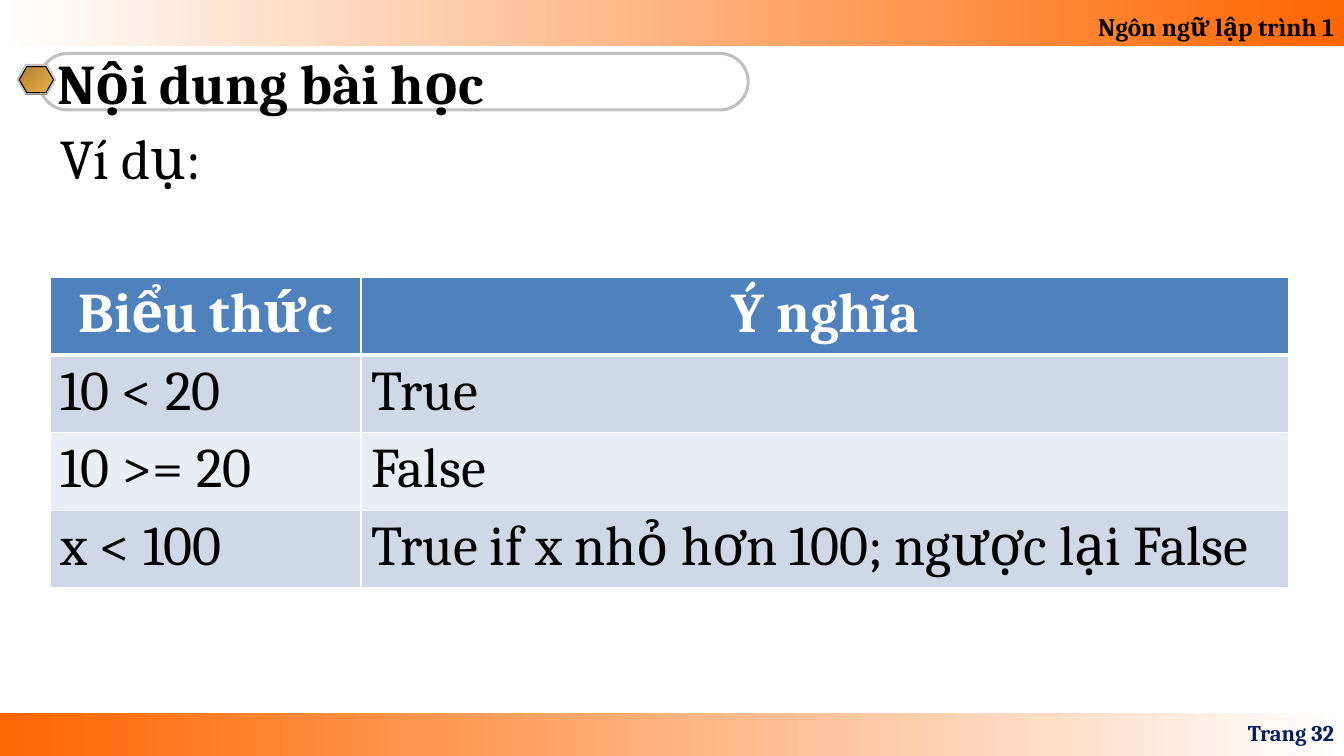
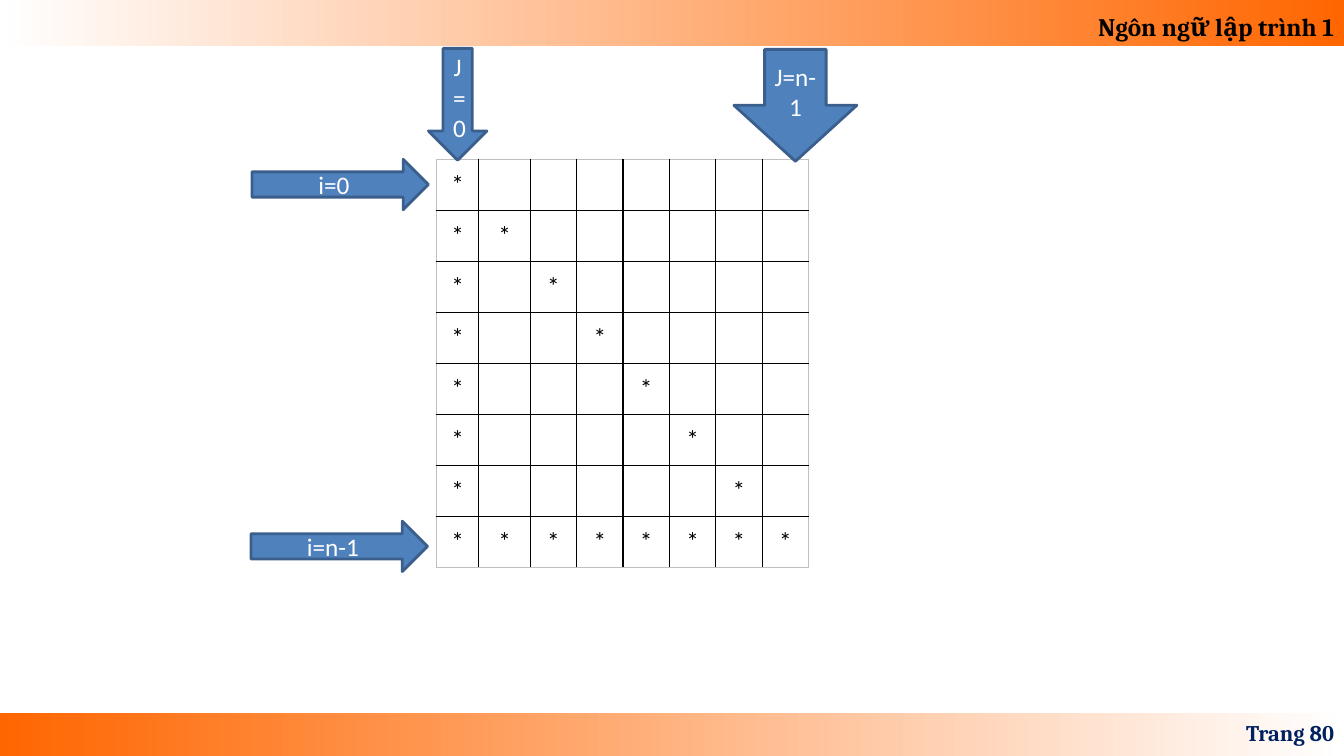
from dataclasses import dataclass

from lxml import etree
from pptx import Presentation
from pptx.dml.color import RGBColor
from pptx.enum.shapes import MSO_SHAPE
from pptx.enum.text import MSO_ANCHOR, MSO_AUTO_SIZE, PP_ALIGN
from pptx.oxml.ns import qn
from pptx.util import Inches, Pt

RECT, PILL, HEXAGON = MSO_SHAPE.RECTANGLE, MSO_SHAPE.ROUNDED_RECTANGLE, MSO_SHAPE.HEXAGON
RIGHT_ARROW, DOWN_ARROW = MSO_SHAPE.RIGHT_ARROW, MSO_SHAPE.DOWN_ARROW
LEFT, CENTER, RIGHT = PP_ALIGN.LEFT, PP_ALIGN.CENTER, PP_ALIGN.RIGHT
TOP, MIDDLE, BOTTOM = MSO_ANCHOR.TOP, MSO_ANCHOR.MIDDLE, MSO_ANCHOR.BOTTOM
FIT_NONE = MSO_AUTO_SIZE.NONE
CONTENT_LAYOUT, BLANK_LAYOUT = 1, 6


@dataclass(frozen=True)
class Theme:
    serif: str = "Cambria"
    sans: str = "Calibri"
    large: int = 40
    normal: int = 18
    small: int = 16
    ink: str = "000000"
    white: str = "FFFFFF"
    orange: str = "FF6600"
    navy: str = "002060"
    blue: str = "4F81BD"
    blue_line: str = "3A5F8C"
    stripes: tuple = ("D0D8E8", "E9EDF4")
    silver: str = "C0C0C0"
    rim: str = "E6E6E6"
    shade: str = "808080"
    gold: tuple = ("AB7E34", "EFB049")


T = Theme()


def rgb(color):
    return RGBColor.from_string(color)


def write(tf, text, size=T.normal, font=T.sans, color=T.ink, bold=False,
          align=LEFT, anchor=None, wrap=True, inset=0.1, bottom=0.05):
    """Put one formatted paragraph in a frame; anchor is None in table cells."""
    if anchor is not None:
        tf.auto_size = FIT_NONE
        tf.word_wrap = wrap
        tf.vertical_anchor = anchor
        tf.margin_left, tf.margin_bottom = Inches(inset), Inches(bottom)
    p = tf.paragraphs[0]
    p.alignment = align
    p.space_before = Pt(0)
    r = p.add_run()
    r.text = text
    r.font.size, r.font.name, r.font.bold = Pt(size), font, bold
    r.font.color.rgb = rgb(color)
    return p


def border(cell, side, color, width=1):
    """Draw one side (L, R, T or B) of a cell, ahead of its fill."""
    tc_pr = cell._tc.get_or_add_tcPr()
    ln = etree.Element(qn("a:ln" + side), w=str(Pt(width)))
    fill = etree.SubElement(ln, qn("a:solidFill"))
    etree.SubElement(fill, qn("a:srgbClr"), val=color)
    tc_pr.insert("LRTB".index(side), ln)


class Deck:
    """Holds the presentation and current slide; lengths are % of the slide."""

    def __init__(self):
        self.prs = Presentation()
        self.prs.slide_width, self.prs.slide_height = Inches(13.33), Inches(7.5)
        self.s = None

    def x(self, share):
        return round(self.prs.slide_width * share / 100)

    def y(self, share):
        return round(self.prs.slide_height * share / 100)

    def box(self, left, top, width, height):
        return self.x(left), self.y(top), self.x(width), self.y(height)

    def slide(self, layout, page):
        self.s = self.prs.slides.add_slide(self.prs.slide_layouts[layout])
        # Header and footer bands
        self.shape(RECT, (0, 94.27, 100, 5.73), fill=(T.orange, T.white))
        header = self.shape(RECT, (0, 0, 100, 6.13), fill=(T.white, T.orange))
        write(header.text_frame, "Ngôn ngữ lập trình 1", font=T.serif, bold=True,
              align=RIGHT, anchor=BOTTOM)
        # Page number
        label = self.s.shapes.add_textbox(*self.box(76.67, 94.27, 23.33, 5.33))
        write(label.text_frame, f"Trang {page}", size=T.small, font=T.serif,
              color=T.navy, bold=True, align=RIGHT, anchor=MIDDLE)

    def shape(self, kind, at, fill=None, line=None, width=0.75, angle=0, adj=None):
        """Fill is None, one colour, or a pair of gradient colours."""
        sp = self.s.shapes.add_shape(kind, *self.box(*at))
        sp.shadow.inherit = False
        if adj is not None:
            sp.adjustments[0] = adj
        if fill is None:
            sp.fill.background()
        elif isinstance(fill, tuple):
            sp.fill.gradient()
            sp.fill.gradient_angle = angle
            for stop, color in zip(sp.fill.gradient_stops, fill):
                stop.color.rgb = rgb(color)
        else:
            sp.fill.solid()
            sp.fill.fore_color.rgb = rgb(fill)
        if line is None:
            sp.line.fill.background()
        else:
            sp.line.color.rgb = rgb(line)
            sp.line.width = Pt(width)
        return sp

    def place(self, sp, at):
        sp.left, sp.top, sp.width, sp.height = self.box(*at)

    def title(self, text):
        at = (2.93, 7.07, 52.74, 7.47)
        self.shape(PILL, at, line=T.silver, width=2.25, adj=0.5)
        # Hexagon badge: shade, rim and gold core
        self.shape(HEXAGON, (1.28, 8.67, 2.85, 3.87), T.shade, adj=0.29)
        self.shape(HEXAGON, (1.28, 8.53, 2.85, 3.87), T.rim, T.silver, adj=0.29)
        core = self.shape(HEXAGON, (1.43, 8.8, 2.55, 3.47), T.gold, T.ink,
                          angle=315, adj=0.29)
        sp = self.s.shapes.title
        self.place(sp, at)
        core.element.addnext(sp.element)
        write(sp.text_frame, text, size=T.large, font=T.serif, bold=True,
              anchor=MIDDLE, wrap=False, inset=0.18)

    def body(self, text):
        sp = self.s.placeholders[1]
        self.place(sp, (3.75, 15.73, 93.77, 76.53))
        p = write(sp.text_frame, text, size=T.large, font=T.serif, anchor=TOP)
        p_pr = p._p.get_or_add_pPr()
        p_pr.set("marL", "0")
        p_pr.set("indent", "0")
        etree.SubElement(p_pr, qn("a:buNone"))

    def grid(self, left, top, cols, rows, row_height):
        """Add an empty table and return it."""
        at = self.box(left, top, sum(cols), rows * row_height)
        table = self.s.shapes.add_table(rows, len(cols), *at).table
        table.horz_banding = False
        for col, width in zip(table.columns, cols):
            col.width = self.x(width)
        return table

    def meaning_table(self, rows):
        table = self.grid(3.75, 36.67, (23.11, 69.02), len(rows), 10.27)
        for i, row in enumerate(rows):
            head = i == 0
            for j, text in enumerate(row):
                cell = table.cell(i, j)
                cell.fill.solid()
                cell.fill.fore_color.rgb = rgb(T.blue if head else T.stripes[(i - 1) % 2])
                write(cell.text_frame, text, size=T.large, font=T.serif, bold=head,
                      color=T.white if head else T.ink, align=CENTER if head else LEFT)
                for side in "LRTB":
                    thick = (head and side == "B") or (i == 1 and side == "T")
                    border(cell, side, T.white, 3 if thick else 1)

    def star_table(self, n):
        """Stars fill the first column, the diagonal and the last row."""
        cols = [3.15, 3.83] + [3.45] * (n - 2)
        table = self.grid(32.48, 21.07, cols, n, 6.75)
        for i in range(n):
            for j in range(n):
                cell = table.cell(i, j)
                cell.fill.background()
                cell.vertical_anchor = MIDDLE
                if j in (0, i) or i == n - 1:
                    write(cell.text_frame, "*", align=CENTER)
                outer = {"L": j == 0, "R": j == n - 1, "T": i == 0, "B": i == n - 1}
                for side, edge in outer.items():
                    border(cell, side, T.silver if edge else T.ink)

    def arrow(self, kind, at, text):
        sp = self.shape(kind, at, T.blue, T.blue_line, width=2)
        write(sp.text_frame, text, color=T.white, align=CENTER, anchor=MIDDLE)


def main():
    deck = Deck()

    # Comparison expressions
    deck.slide(CONTENT_LAYOUT, 32)
    deck.title("Nội dung bài học")
    deck.body("Ví dụ:")
    deck.meaning_table([
        ("Biểu thức", "Ý nghĩa"),
        ("10 < 20", "True"),
        ("10 >= 20", "False"),
        ("x < 100", "True if x nhỏ hơn 100; ngược lại False"),
    ])

    # Star triangle with its row and column indexes
    deck.slide(BLANK_LAYOUT, 80)
    deck.star_table(8)
    for kind, at, text in (
        (RIGHT_ARROW, (18.75, 21.07, 13.13, 6.67), "i=0"),
        (RIGHT_ARROW, (18.68, 68.93, 13.13, 6.67), "i=n-1"),
        (DOWN_ARROW, (31.88, 6.4, 4.35, 14.8), "J=0"),
        (DOWN_ARROW, (54.61, 6.53, 9.15, 14.8), "J=n-1"),
    ):
        deck.arrow(kind, at, text)

    deck.prs.save("out.pptx")


if __name__ == "__main__":
    main()
